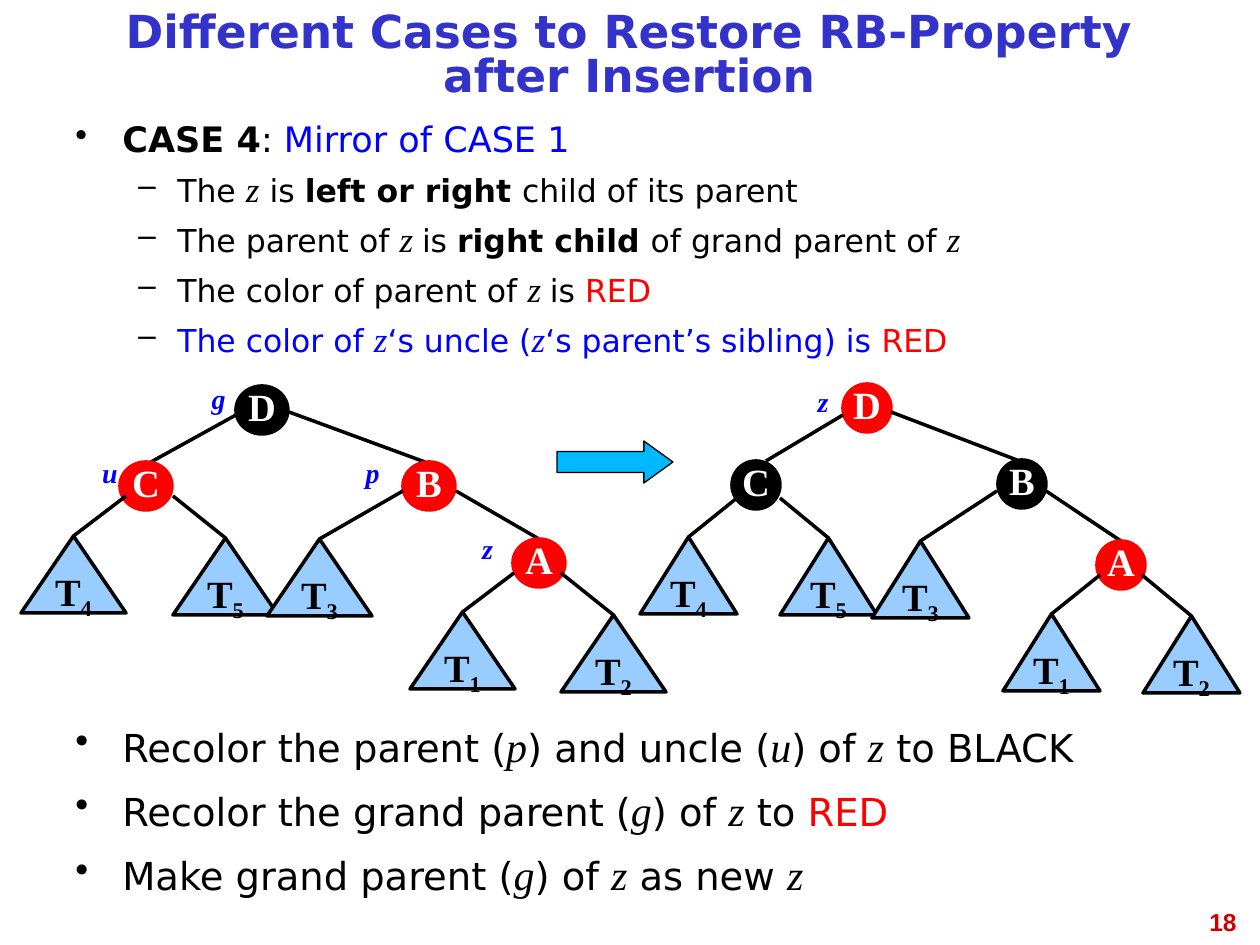
import pptx
import pptx.util
from pptx.dml.color import RGBColor
from pptx.enum.shapes import MSO_CONNECTOR, MSO_SHAPE
from pptx.enum.text import MSO_ANCHOR, PP_ALIGN
from pptx.oxml.ns import qn
from lxml import etree


class Theme:
    sans, serif, plain = "DejaVu Sans", "Times New Roman", "Arial"
    black, white, red, blue = "000000", "FFFFFF", "FF0000", "0000FF"
    title, page, leaf, arrow = "3333CC", "CC0000", "99CCFF", "00B8FF"
    head, node, mark, foot = 26, 22, 16, 14


T = Theme
PX = 914400 / 126

# A run is (text, style, colour); style "b" is bold, "i" is a serif variable.
K, R, U = T.black, T.red, T.blue
CASE = [
    (0, [("CASE 4", "b", K), (": ", "", K), ("Mirror of CASE 1", "", U)]),
    (1, [("The ", "", K), ("z", "i", K), (" is ", "", K),
         ("left or right ", "b", K), ("child of its parent", "", K)]),
    (1, [("The parent of ", "", K), ("z ", "i", K), ("is ", "", K),
         ("right child ", "b", K), ("of grand parent of ", "", K), ("z", "i", K)]),
    (1, [("The color of parent of ", "", K), ("z ", "i", K), ("is ", "", K),
         ("RED", "", R)]),
    (1, [("The color of ", "", U), ("z", "i", U), ("‘s uncle (", "", U),
         ("z", "i", U), ("‘s parent’s sibling) is ", "", U), ("RED", "", R)]),
]
STEPS = [
    (0, [("Recolor the parent (", "", K), ("p", "i", K), (") and uncle (", "", K),
         ("u", "i", K), (") of ", "", K), ("z", "i", K), (" to BLACK", "", K)]),
    (0, [("Recolor the grand parent (", "", K), ("g", "i", K), (") of ", "", K),
         ("z", "i", K), (" to ", "", K), ("RED", "", R)]),
    (0, [("Make grand parent (", "", K), ("g", "i", K), (") of ", "", K),
         ("z", "i", K), (" as new ", "", K), ("z", "i", K)]),
]
# Bullet levels: left margin, hanging indent, space before, sign
LEVELS = [(47, -47, 8, "•"), (102, -39, 7, "–")]

# A part is (label, left, top, fill, joint on the parent, lean of the edge's end).
TREES = [
    {"node": (52, 48), "leaf": (105, 77), "parts": [
        ("D", 236, 386, K, None, 0),
        ("C", 120, 462, R, (236, 415), 5),
        ("T4", 21, 536, T.leaf, (126, 496), 0),
        ("T5", 173, 538, T.leaf, (173, 496), 0),
        ("B", 403, 462, R, (289, 412), -4),
        ("T3", 267, 539, T.leaf, (403, 491), 0),
        ("A", 513, 539, R, (456, 491), 0),
        ("T1", 410, 612, T.leaf, (514, 573), 0),
        ("T2", 561, 615, T.leaf, (561, 573), 0)],
     "marks": [("u", 47, 449, 126), ("g", 166, 375, 105),
               ("p", 320, 449, 105), ("z", 435, 525, 105)]},
    {"node": (48, 48), "leaf": (97, 77), "parts": [
        ("D", 843, 384, R, None, 0),
        ("C", 732, 461, K, (843, 415), 10),
        ("T4", 640, 537, T.leaf, (737, 498), 0),
        ("T5", 780, 538, T.leaf, (780, 498), 0),
        ("B", 998, 460, K, (891, 412), -5),
        ("T3", 872, 541, T.leaf, (997, 491), 0),
        ("A", 1097, 541, R, (1046, 491), 0),
        ("T1", 1003, 614, T.leaf, (1100, 575), 0),
        ("T2", 1143, 616, T.leaf, (1142, 575), 0)],
     "marks": [("z", 775, 378, 96)]},
]


def emu(*px):
    return [round(n * PX) for n in px]


def rgb(hue):
    return RGBColor.from_string(hue)


def add_run(para, text, size, face, hue, bold=False, slant=False):
    run = para.add_run()
    run.text = text
    font = run.font
    font.size, font.name = pptx.util.Pt(size), face
    font.bold, font.italic = bold, slant
    font.color.rgb = rgb(hue)
    return run


def add_box(slide, *area):
    frame = slide.shapes.add_textbox(*emu(*area)).text_frame
    frame.word_wrap = True
    return frame


def add_line(slide, start, end):
    line = slide.shapes.add_connector(MSO_CONNECTOR.STRAIGHT, *emu(*start, *end))
    line.line.color.rgb = rgb(T.black)
    line.line.width = pptx.util.Pt(2)
    etree.SubElement(line._element.spPr, qn("a:effectLst"))


def add_form(slide, kind, area, fill, edge, width):
    form = slide.shapes.add_shape(kind, *emu(*area))
    form.shadow.inherit = False
    form.fill.solid()
    form.fill.fore_color.rgb = rgb(fill)
    form.line.color.rgb = rgb(edge)
    form.line.width = pptx.util.Pt(width)
    return form


def add_list(slide, area, items, sizes, serif, pitch):
    """Bulleted list; sizes holds the sans size of each level."""
    frame = add_box(slide, *area)
    for i, (level, runs) in enumerate(items):
        para = frame.paragraphs[0] if i == 0 else frame.add_paragraph()
        left, hang, gap, sign = LEVELS[level]
        prop = para._p.get_or_add_pPr()
        prop.set("marL", str(emu(left)[0]))
        prop.set("indent", str(emu(hang)[0]))
        tint = etree.SubElement(prop, qn("a:buClr"))
        etree.SubElement(tint, qn("a:srgbClr")).set("val", T.black)
        etree.SubElement(prop, qn("a:buChar")).set("char", sign)
        para.level = level
        para.alignment = PP_ALIGN.JUSTIFY
        para.line_spacing = pitch
        if i:
            para.space_before = pptx.util.Pt(gap)
        for text, style, hue in runs:
            var = style == "i"
            add_run(para, text, serif if var else sizes[level],
                    T.serif if var else T.sans, hue, style == "b", var)


def add_part(slide, tree, label, x, y, fill, joint, lean):
    """Node or subtree, with the edge that leads to its top."""
    leaf = len(label) > 1
    wide, high = tree["leaf" if leaf else "node"]
    if joint:
        add_line(slide, joint, (x + wide / 2 + lean, y))
    kind = MSO_SHAPE.ISOSCELES_TRIANGLE if leaf else MSO_SHAPE.OVAL
    form = add_form(slide, kind, (x, y, wide, high), fill, T.black if leaf else fill, 2)
    frame = form.text_frame
    frame.word_wrap = False
    frame.vertical_anchor = MSO_ANCHOR.MIDDLE
    para = frame.paragraphs[0]
    para.alignment, para.line_spacing = PP_ALIGN.CENTER, 0.81
    hue = T.black if leaf else T.white
    add_run(para, label[0], T.node, T.serif, hue, True)
    if leaf:
        sub = add_run(para, label[1], T.node, T.serif, hue, True)
        sub.font._element.set("baseline", "-25000")


def main():
    deck = pptx.Presentation()
    deck.slide_width, deck.slide_height = emu(1260, 945)
    slide = deck.slides.add_slide(deck.slide_layouts[6])

    para = add_box(slide, 955, 901, 294, 44).paragraphs[0]
    para.alignment = PP_ALIGN.RIGHT
    add_run(para, "18", T.foot, T.plain, T.page, True)

    frame = add_box(slide, 63, 10, 1133, 95)
    frame.vertical_anchor = MSO_ANCHOR.MIDDLE
    para = frame.paragraphs[0]
    para.alignment, para.line_spacing = PP_ALIGN.CENTER, 0.81
    add_run(para, "Different Cases to Restore RB-Property after Insertion",
            T.head, T.sans, T.title, True)

    add_list(slide, (63, 116, 1133, 252), CASE, (20, 18), 20, 0.9)
    add_list(slide, (63, 714, 1133, 199), STEPS, (22,), 24, 1.0)

    for tree in TREES:
        for part in tree["parts"]:
            add_part(slide, tree, *part)
        for name, x, y, wide in tree["marks"]:
            para = add_box(slide, x, y, wide, 47).paragraphs[0]
            para.alignment = PP_ALIGN.CENTER
            add_run(para, name, T.mark, T.serif, T.blue, True, True)

    arrow = add_form(slide, MSO_SHAPE.RIGHT_ARROW, (557, 441, 116, 42),
                     T.arrow, T.black, 0.75)
    arrow.adjustments[1] = 0.69
    deck.save("out.pptx")


if __name__ == "__main__":
    main()
